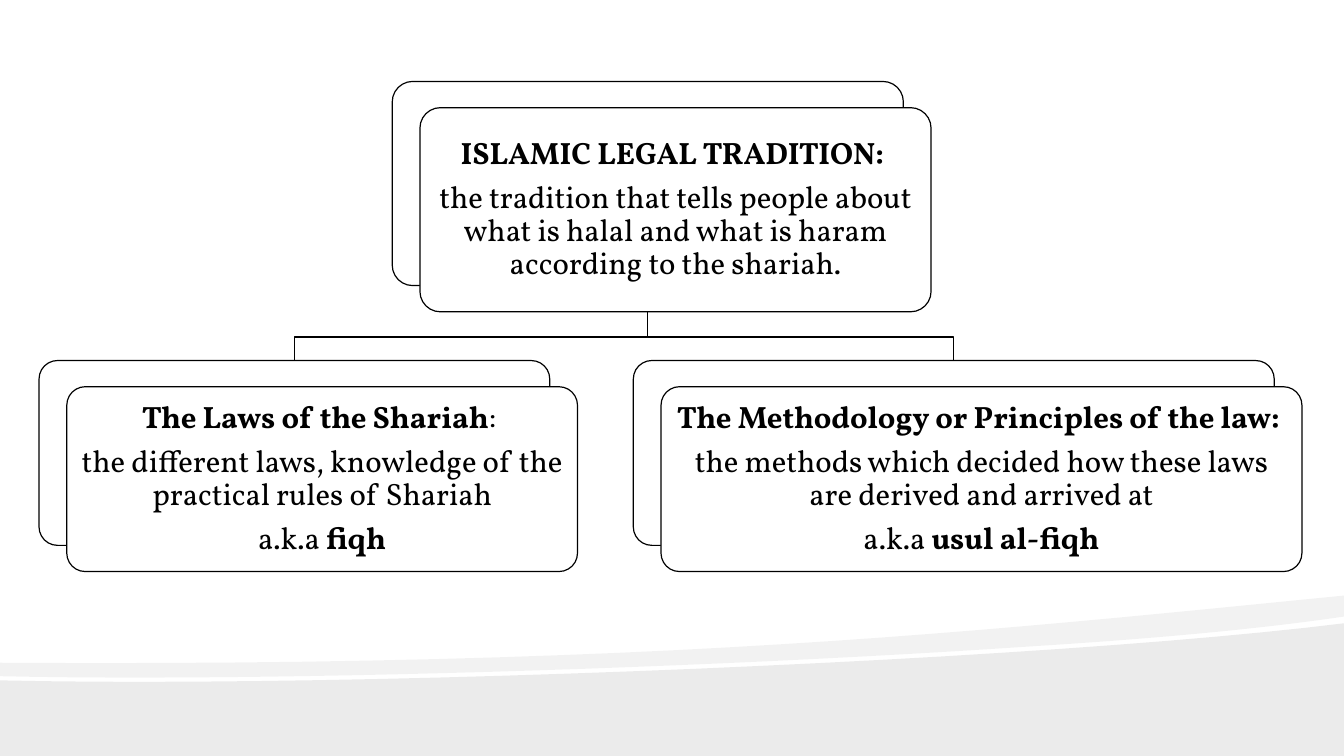
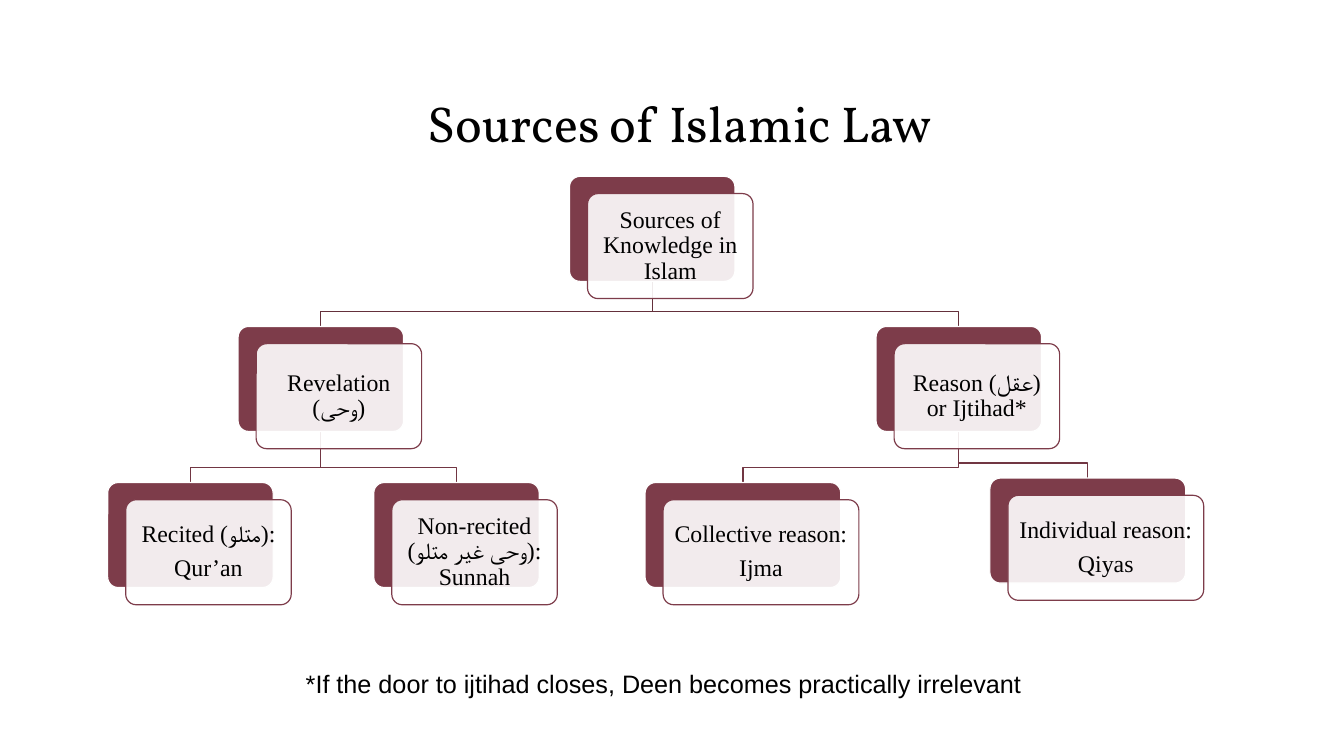
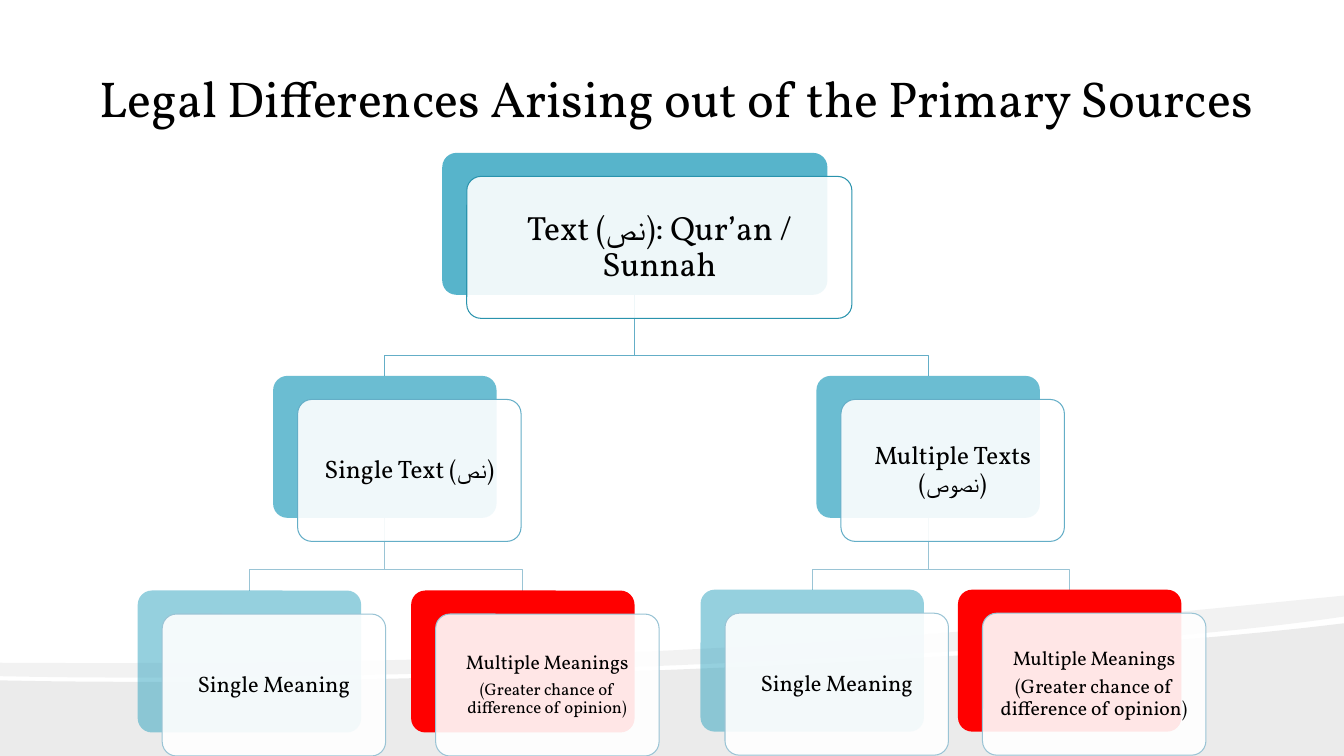
from lxml.etree import SubElement
from pptx import Presentation
from pptx.dml.color import RGBColor
from pptx.enum.shapes import MSO_SHAPE
from pptx.enum.text import MSO_ANCHOR, MSO_AUTO_SIZE, PP_ALIGN
from pptx.oxml.ns import qn
from pptx.util import Emu, Inches, Pt

# Grid of 160 columns by 90 rows with square cells
COLUMNS, ROWS = 160, 90
CELL = Inches(1) / 12

SERIF, TIMES, SANS = "Vollkorn", "Times New Roman", "Arial"
BLACK, WHITE, RED = "000000", "FFFFFF", "FF0000"
MAROON, TEAL = "7D3C4A", "2DA2BF"


def cells(count):
    return Emu(round(count * CELL))


def paint(color_format, color):
    color_format.rgb = RGBColor.from_string(color)


def write(frame, *paragraphs, size=18, later_size=None, font=SERIF, color=BLACK,
          spacing=1.0, after=0, anchor=MSO_ANCHOR.MIDDLE, margins=None):
    """Fill a frame with centred paragraphs; words between bars are bold."""
    frame.word_wrap = True
    frame.auto_size = MSO_AUTO_SIZE.NONE
    frame.vertical_anchor = anchor
    if margins:
        frame.margin_left = frame.margin_right = margins[0]
        frame.margin_top = frame.margin_bottom = margins[1]
    for number, words in enumerate(paragraphs):
        paragraph = frame.add_paragraph() if number else frame.paragraphs[0]
        points = later_size if number and later_size else size
        paragraph.alignment = PP_ALIGN.CENTER
        paragraph.line_spacing = spacing
        paragraph.space_after = Pt(after * points)
        for part, piece in enumerate(words.split("|")):
            if piece:
                run = paragraph.add_run()
                run.text = piece
                run.font.name, run.font.size = font, Pt(points)
                run.font.bold = part % 2 == 1
                paint(run.font.color, color)
                # The Arabic words take the same font
                SubElement(run.font.fill._xPr, qn("a:cs"), typeface=font)


def curve(start, pull_start, pull_end, end, steps=24):
    """Points along a cubic curve."""
    points = []
    for step in range(steps + 1):
        t = step / steps
        weights = (1 - t) ** 3, 3 * t * (1 - t) ** 2, 3 * t * t * (1 - t), t ** 3
        corners = start, pull_start, pull_end, end
        points.append(tuple(sum(w * corner[axis] for w, corner in zip(weights, corners))
                            for axis in (0, 1)))
    return points


class Deck:
    def __init__(self):
        self.file = Presentation()
        self.file.slide_width, self.file.slide_height = cells(COLUMNS), cells(ROWS)

    def start(self, title=None, place=None, swoosh=True, font=SERIF, step=(2, 2), rise=2,
              back_line=None, line_width=0.85):
        """Open a slide and set how its cards and branches look."""
        self.slide = self.file.slides.add_slide(self.file.slide_layouts[5 if title else 6])
        self.shapes = self.slide.shapes
        self.font, self.step, self.rise = font, step, rise
        self.back_line, self.line_width = back_line, line_width
        self.first_card = None
        if swoosh:
            self.swoosh()
        if title:
            heading = self.shapes.title
            heading.left, heading.top, heading.width, heading.height = map(cells, place)
            write(heading.text_frame, title, size=36, anchor=MSO_ANCHOR.BOTTOM,
                  margins=(Inches(0.13), Inches(0.07)))

    def style(self, shape, fill=None, opacity=100, line=None):
        shape.shadow.inherit = False
        if fill:
            shape.fill.solid()
            paint(shape.fill.fore_color, fill)
        else:
            shape.fill.background()
        if opacity < 100:
            tint = shape.element.spPr.find(qn("a:solidFill")).find(qn("a:srgbClr"))
            SubElement(tint, qn("a:alpha"), val=str(opacity * 1000))
        if line:
            paint(shape.line.color, line)
            shape.line.width = Pt(self.line_width)
        else:
            shape.line.fill.background()

    def outline(self, points, close=True, **look):
        start, *others = points
        builder = self.shapes.build_freeform(*start, scale=1.0)
        builder.add_line_segments(others, close=close)
        shape = builder.convert_to_shape()
        self.style(shape, **look)
        return shape

    def band(self, points, opacity):
        self.outline([(cells(x), cells(y)) for x, y in points], fill=BLACK, opacity=opacity)

    def swoosh(self):
        """Two curved grey bands along the foot of the slide."""
        ground = curve((0, 81), (42.2, 82), (125, 78.6), (COLUMNS, 74.2))
        self.band(ground + [(COLUMNS, ROWS), (0, ROWS)], 8)
        upper = curve((0, 78.9), (78.2, 79.4), (116.5, 75.2), (COLUMNS, 70.9))
        lower = curve((0, 80.5), (31, 81.2), (83.8, 79.6), (123.5, 76.9))
        lower += curve((123.5, 76.9), (137.9, 76), (150.6, 74.8), (COLUMNS, 73.4))
        self.band(upper + lower[::-1], 5)

    def panel(self, left, top, width, height):
        shape = self.shapes.add_shape(MSO_SHAPE.ROUNDED_RECTANGLE,
                                      *map(cells, (left, top, width, height)))
        shape.adjustments[0] = 0.1
        return shape

    def card(self, place, *paragraphs, fill, line, opacity=100, front_opacity=90,
             size=17, later_size=None):
        """A back panel with a shifted front panel that carries the text."""
        left, top, width, height = place
        back = self.panel(*place)
        self.style(back, fill, opacity, self.back_line)
        front = self.panel(left + self.step[0], top + self.step[1], width, height)
        self.style(front, WHITE, front_opacity, line)
        write(front.text_frame, *paragraphs, size=size, later_size=later_size, font=self.font,
              spacing=0.9, after=0.35, margins=(Pt(0.29 * size), Pt(0.29 * size)))
        if self.first_card is None:
            self.first_card = back
        return back

    def branch(self, parent, *children, color):
        """A bent line, behind all cards, from the parent down to each child."""
        trunk, foot = parent.left + parent.width // 2, parent.top + parent.height
        for child in children:
            middle, level = child.left + child.width // 2, child.top - cells(self.rise)
            bend = self.outline([(trunk, foot), (trunk, level), (middle, level),
                                 (middle, child.top)], close=False, line=color)
            self.first_card.element.addprevious(bend.element)

    def footnote(self, place, words):
        box = self.shapes.add_textbox(*map(cells, place))
        write(box.text_frame, words, font=SANS, anchor=MSO_ANCHOR.TOP)


def tradition(deck):
    deck.start(step=(3.3, 3.12), rise=2.8, back_line=BLACK)
    look = dict(fill=WHITE, line=BLACK, front_opacity=100, size=22)
    legal = deck.card((46.7, 9.7, 60.85, 24.3), "|ISLAMIC LEGAL TRADITION: |",
                      "the tradition that tells people about what is halal and what is haram "
                      "according to the shariah.", **look)
    laws = deck.card((4.65, 42.92, 60.8, 22), "|The Laws of the Shariah|: ",
                     "the different laws, knowledge of the practical rules of Shariah",
                     "a.k.a |fiqh|", **look)
    methodology = deck.card((75.4, 42.92, 76.3, 22),
                            "|The Methodology or Principles of the law: |",
                            "the methods which decided how these laws are derived and arrived at",
                            "a.k.a |usul al-fiqh|", **look)
    deck.branch(legal, methodology, laws, color=BLACK)


def sources(deck):
    deck.start("Sources of Islamic Law", (17, 2, 127.9, 17), swoosh=False, font=TIMES,
               step=(2.15, 2.05), rise=1.8, back_line=WHITE)
    narrow, wide, height = 19.7, 23.3, 12.5
    look = dict(fill=MAROON, line=MAROON)

    # Knowledge and its two kinds
    knowledge = deck.card((67.8, 21, narrow, height), "Sources of Knowledge in Islam", **look)
    revelation, reason = [
        deck.card((left, 38.87, narrow, height), words, **look)
        for left, words in ((28.35, "Revelation (وحی)"), (104.3, "Reason (عقل) or Ijtihad*"))]

    # The four sources
    recited, unrecited, collective, individual = [
        deck.card((left, top, width, height), *words, **look)
        for left, top, width, words in (
            (12.82, 57.45, narrow, ("Recited (متلو):", "Qur’an")),
            (44.5, 57.45, narrow, ("Non-recited (وحی غیر متلو): Sunnah",)),
            (76.8, 57.45, wide, ("Collective reason:", "Ijma")),
            (117.85, 56.92, wide, ("Individual reason:", "Qiyas")))]

    deck.branch(reason, individual, collective, color="713643")
    deck.branch(knowledge, reason, revelation, color="64303B")
    deck.branch(revelation, unrecited, recited, color="713643")
    deck.footnote((35, 79, 88, 4.85),
                  "*If the door to ijtihad closes, Deen becomes practically irrelevant")


def differences(deck):
    deck.start("Legal Differences Arising out of the Primary Sources", (8, 2, 145, 14),
               step=(2.92, 2.8), rise=2.45)
    deck.line_width = 0.75
    width, height = 26.6, 16.9
    middle_line, leaf_line = "64AEC7", "9AC4D5"

    text = deck.card((52.65, 18.2, 45.85, height), "Text (نص): Qur’an / Sunnah",
                     fill=TEAL, opacity=80, line="2993AD", size=24)
    kinds = []
    for left, words, leaf_top, leaf_lefts, chance_size in (
            (32.52, "Single Text (نص)", 70.3, (16.4, 48.95), 12),
            (97.2, "Multiple Texts (نصوص)", 70.2, (83.4, 114.05), 14)):
        kind = deck.card((left, 44.75, width, height), words,
                         fill=TEAL, opacity=70, line=middle_line, size=18)
        single = deck.card((leaf_lefts[0], leaf_top, width, height), "Single Meaning",
                           fill=TEAL, opacity=50, line=leaf_line, size=16)
        multiple = deck.card((leaf_lefts[1], leaf_top, width, height), "Multiple Meanings",
                             "(Greater chance of difference of opinion)",
                             fill=RED, line=leaf_line, size=14, later_size=chance_size)
        deck.branch(kind, multiple, single, color=leaf_line)
        kinds.append(kind)
    deck.branch(text, *kinds, color=middle_line)


def main():
    deck = Deck()
    tradition(deck)
    sources(deck)
    differences(deck)
    deck.file.save("out.pptx")


if __name__ == "__main__":
    main()
